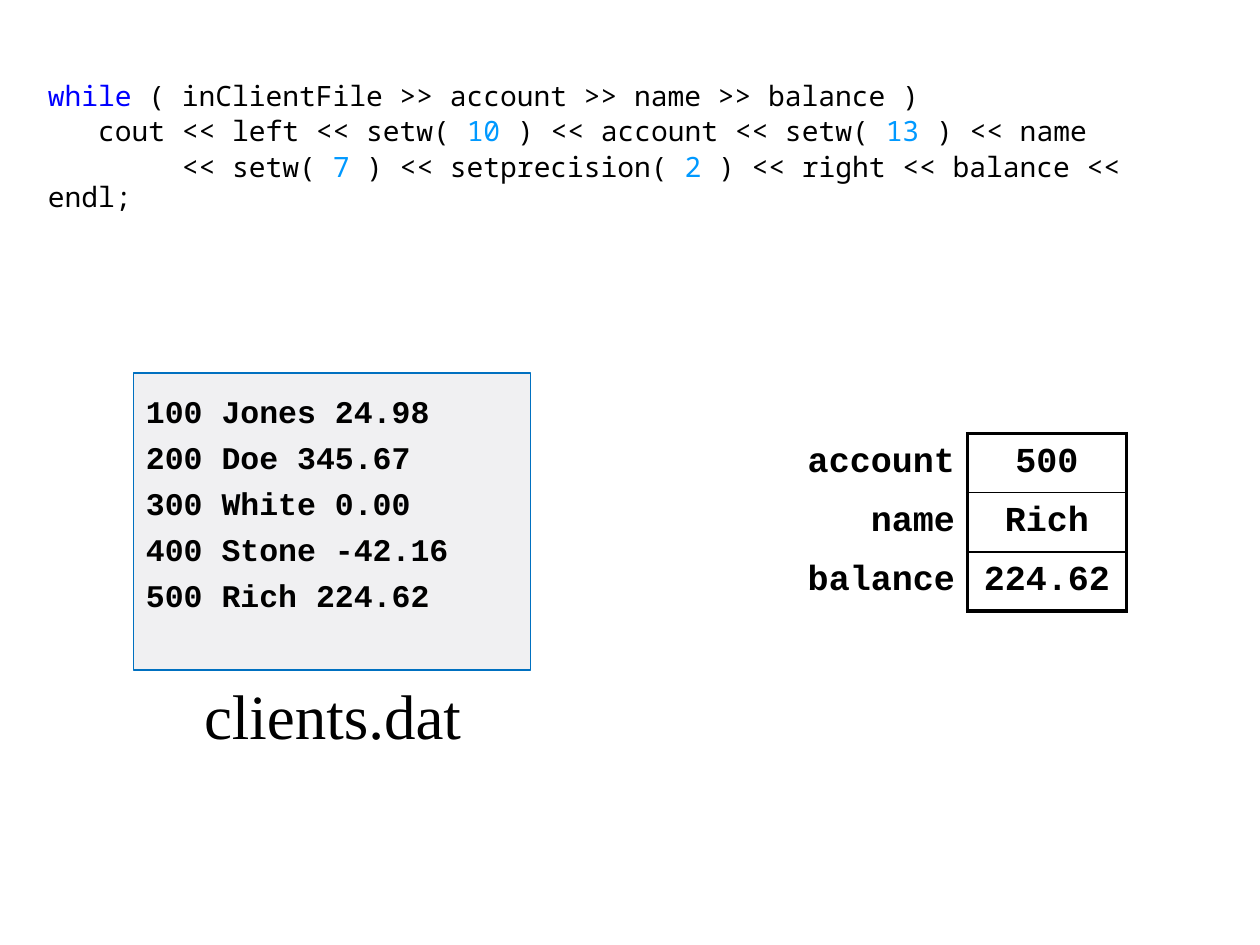
from lxml.etree import SubElement
from pptx import Presentation
from pptx.dml.color import RGBColor
from pptx.enum.shapes import MSO_SHAPE
from pptx.enum.text import MSO_ANCHOR, MSO_AUTO_SIZE, PP_ALIGN
from pptx.oxml.ns import qn
from pptx.util import Inches, Pt

BLACK = RGBColor(0x00, 0x00, 0x00)
KEYWORD_BLUE = RGBColor(0x00, 0x00, 0xFF)
NUMBER_BLUE = RGBColor(0x00, 0x99, 0xFF)
FILE_FILL = RGBColor(0xF0, 0xF0, 0xF2)
FILE_LINE = RGBColor(0x00, 0x70, 0xC0)

CODE = [
    [("while", KEYWORD_BLUE), (" ( inClientFile >> account >> name >> balance )", BLACK)],
    [("   cout << left << setw( ", BLACK), ("10", NUMBER_BLUE),
     (" ) << account << setw( ", BLACK), ("13", NUMBER_BLUE), (" ) << name", BLACK)],
    [("        << setw( ", BLACK), ("7", NUMBER_BLUE), (" ) << setprecision( ", BLACK),
     ("2", NUMBER_BLUE), (" ) << right << balance << endl;", BLACK)],
]
RECORDS = ["100 Jones 24.98", "200 Doe 345.67", "300 White 0.00",
           "400 Stone -42.16", "500 Rich 224.62"]
FILE_NAME = "clients.dat"
VARIABLES = [("account", "500"), ("name", "Rich"), ("balance", "224.62")]
COLUMN_WIDTHS = [1.42, 1.26]
ROW_HEIGHT = 0.47
OUTER_LINE, INNER_LINE = 2.25, 1
NO_GRID_STYLE = "{2D5ABB26-0587-4C30-8999-92F81FD0307C}"


def write_text(frame, lines, font, size, bold=False, align=PP_ALIGN.LEFT,
               space_before=0, line_spacing=None, plain_list=False):
    for index, line in enumerate(lines):
        paragraph = frame.paragraphs[0] if index == 0 else frame.add_paragraph()
        paragraph.alignment = align
        paragraph.line_spacing = line_spacing
        paragraph.space_before = Pt(space_before if index else 0)
        if plain_list:
            properties = paragraph._p.get_or_add_pPr()
            properties.set("marL", "0")
            properties.set("indent", "0")
            SubElement(properties, qn("a:buNone"))
        for text, color in [(line, BLACK)] if isinstance(line, str) else line:
            run = paragraph.add_run()
            run.text = text
            run.font.name = font
            run.font.size = Pt(size)
            run.font.bold = bold
            run.font.color.rgb = color


def set_borders(cell, widths):
    properties = cell._tc.get_or_add_tcPr()
    for position, side in enumerate(side for side in "LRTB" if side in widths):
        line = SubElement(properties, qn(f"a:ln{side}"), w=str(Pt(widths[side])))
        fill = SubElement(line, qn("a:solidFill"))
        SubElement(fill, qn("a:srgbClr"), val=str(BLACK))
        properties.insert(position, line)


def add_code(slide):
    slide.shapes.title.element.getparent().remove(slide.shapes.title.element)
    body = slide.placeholders[1]
    body.left, body.top, body.width, body.height = map(Inches, (0.28, 0.6, 9.45, 1.73))
    body.text_frame.auto_size = MSO_AUTO_SIZE.NONE
    write_text(body.text_frame, CODE, "Noto Sans Mono", 16, space_before=3.2,
               line_spacing=0.9, plain_list=True)


def add_variables(slide):
    frame = slide.shapes.add_table(
        len(VARIABLES), len(COLUMN_WIDTHS), Inches(6.26), Inches(3.44),
        Inches(sum(COLUMN_WIDTHS)), Inches(ROW_HEIGHT * len(VARIABLES)))
    table = frame.table
    table.first_row = table.horz_banding = False
    table._tbl.tblPr.find(qn("a:tableStyleId")).text = NO_GRID_STYLE
    for column, width in zip(table.columns, COLUMN_WIDTHS):
        column.width = Inches(width)
    last = len(VARIABLES) - 1
    for row, values in enumerate(VARIABLES):
        table.rows[row].height = Inches(ROW_HEIGHT)
        value_borders = {"L": OUTER_LINE, "R": OUTER_LINE,
                         "T": INNER_LINE if row else OUTER_LINE,
                         "B": INNER_LINE if row < last else OUTER_LINE}
        formats = [(PP_ALIGN.RIGHT, {"R": OUTER_LINE}), (PP_ALIGN.CENTER, value_borders)]
        for column, (align, borders) in enumerate(formats):
            cell = table.cell(row, column)
            cell.fill.background()
            cell.vertical_anchor = MSO_ANCHOR.MIDDLE
            write_text(cell.text_frame, [values[column]], "Courier New", 20,
                       bold=True, align=align)
            set_borders(cell, borders)


def add_file(slide):
    box = slide.shapes.add_shape(MSO_SHAPE.RECTANGLE, Inches(1.06), Inches(2.96),
                                 Inches(3.15), Inches(2.36))
    box.shadow.inherit = False
    box.fill.solid()
    box.fill.fore_color.rgb = FILE_FILL
    box.line.color.rgb = FILE_LINE
    box.line.width = Pt(1)
    frame = box.text_frame
    frame.word_wrap = True
    frame.vertical_anchor = MSO_ANCHOR.TOP
    frame.margin_left = frame.margin_right = frame.margin_bottom = Inches(0.1)
    frame.margin_top = Inches(0.15)
    write_text(frame, RECORDS, "Courier New", 18, bold=True, space_before=4.7)

    label = slide.shapes.add_textbox(Inches(1.38), Inches(5.32), Inches(2.52), Inches(0.79))
    label.text_frame.word_wrap = False
    write_text(label.text_frame, [FILE_NAME], "Times New Roman", 36, align=PP_ALIGN.CENTER)


def main():
    presentation = Presentation()
    presentation.slide_width, presentation.slide_height = Inches(10), Inches(7.5)
    slide = presentation.slides.add_slide(presentation.slide_layouts[1])
    add_code(slide)
    add_variables(slide)
    add_file(slide)
    presentation.save("out.pptx")


if __name__ == "__main__":
    main()
